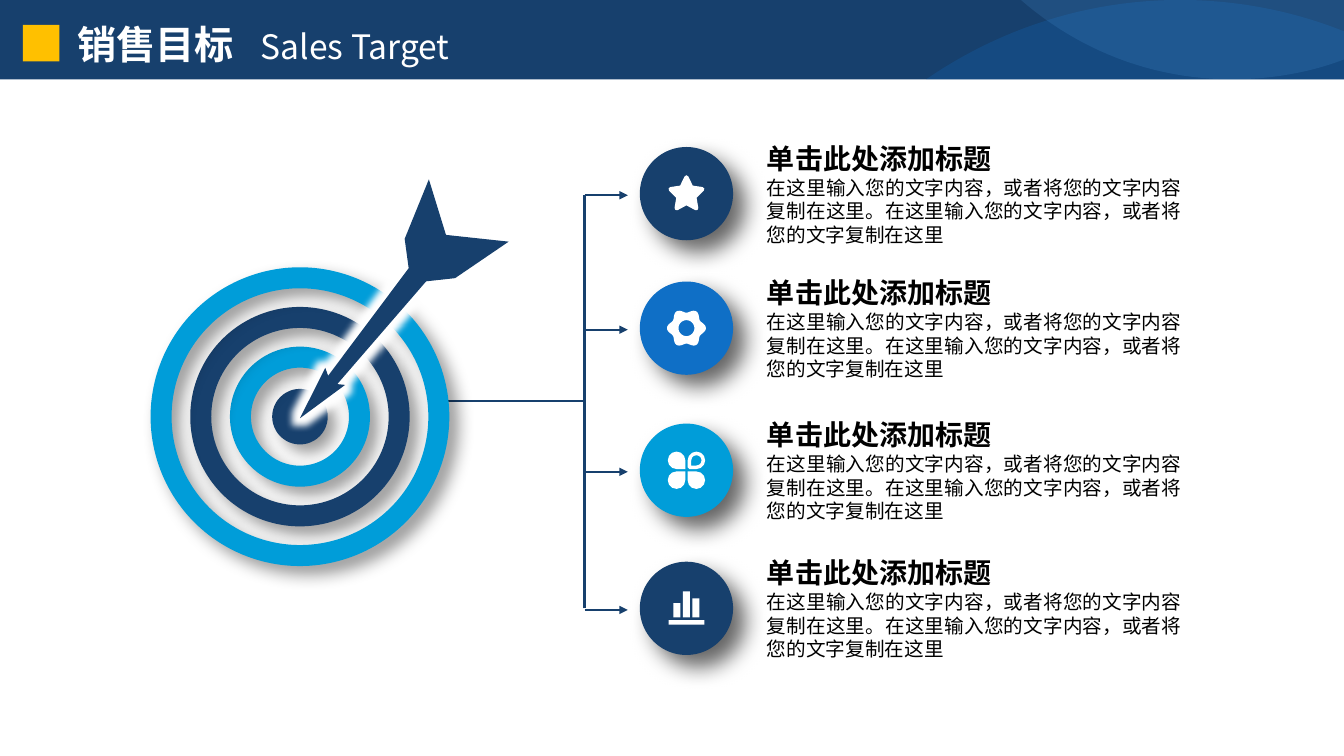
from dataclasses import dataclass
from math import cos, pi, sin

from lxml import etree
from pptx import Presentation
from pptx import util as u
from pptx.dml.color import RGBColor
from pptx.enum import shapes, text
from pptx.oxml.ns import qn

Cm, Pt = u.Cm, u.Pt
PRESET = shapes.MSO_SHAPE


@dataclass(frozen=True)
class Theme:
    navy: str = "17406D"
    blue: str = "0F6FC6"
    cyan: str = "009DD9"
    sky: str = "59AAF2"
    gold: str = "FFC000"
    white: str = "FFFFFF"
    black: str = "000000"
    font: str = "Noto Sans CJK SC"
    title: int = 28
    subtitle: int = 24
    heading: int = 20
    body: int = 14
    leading: float = 1.2


THEME = Theme()
HEADING = "单击此处添加标题"
BODY = "在这里输入您的文字内容，或者将您的文字内容复制在这里。在这里输入您的文字内容，或者将您的文字复制在这里"


# ---- Shared formatting ----
def apply(target, values):
    for name, value in values.items():
        setattr(target, name, value)


def add_xml(parent, tag, **attributes):
    return etree.SubElement(parent, qn(tag), {k: str(v) for k, v in attributes.items()})


def paint(shape, fill=None, line=None, width=0, alpha=None):
    shape.shadow.inherit = False
    if fill:
        shape.fill.solid()
        shape.fill.fore_color.rgb = RGBColor.from_string(fill)
    else:
        shape.fill.background()
    if line:
        shape.line.color.rgb = RGBColor.from_string(line)
        shape.line.width = Pt(width)
    else:
        shape.line.fill.background()
    if alpha:
        color = shape.element.spPr.find(qn("a:solidFill"))[0]
        add_xml(color, "a:alpha", val=alpha * 1000)
    return shape


def add_effect(shape, tag, color, alpha, **attributes):
    effects = shape.element.spPr.find(qn("a:effectLst"))
    tint = add_xml(add_xml(effects, tag, **attributes), "a:srgbClr", val=color)
    add_xml(tint, "a:alpha", val=alpha * 1000)


def cast_shadow(shape, alpha, blur, distance):
    add_effect(shape, "a:outerShdw", THEME.black, alpha, blurRad=Pt(blur),
               dist=Pt(distance), dir=45 * 60000, algn="tl", rotWithShape=0)


def preset(parent, kind, x, y, w, h, **look):
    return paint(parent.add_shape(kind, Cm(x), Cm(y), Cm(w), Cm(h)), **look)


def disc(parent, cx, cy, size, **look):
    return preset(parent, PRESET.OVAL, cx - size / 2, cy - size / 2, size, size, **look)


def outline(parent, *contours, **look):
    first, *others = [[(Cm(x), Cm(y)) for x, y in points] for points in contours]
    builder = parent.build_freeform(*first[0], scale=1.0)
    builder.add_line_segments(first[1:], close=True)
    for points in others:
        builder.move_to(*points[0])
        builder.add_line_segments(points[1:], close=True)
    return paint(builder.convert_to_shape(), **look)


def bezier(a, b, c, d, steps=24):
    ts = [i / steps for i in range(steps + 1)]
    return [tuple((1 - t) ** 3 * p + 3 * (1 - t) ** 2 * t * q + 3 * (1 - t) * t * t * r + t ** 3 * s
                  for p, q, r, s in zip(a, b, c, d)) for t in ts]


def write(paragraph, content, size, color, bold=False):
    run = paragraph.add_run()
    run.text = content
    apply(run.font, {"size": Pt(size), "bold": bold, "name": THEME.font})
    run.font.color.rgb = RGBColor.from_string(color)
    add_xml(run.font._element, "a:ea", typeface=THEME.font)


def text_box(parent, x, y, w, h, content, size, align, bold=False):
    frame = parent.add_textbox(Cm(x), Cm(y), Cm(w), Cm(h)).text_frame
    apply(frame, {"word_wrap": True, "auto_size": text.MSO_AUTO_SIZE.SHAPE_TO_FIT_TEXT})
    paragraph = frame.paragraphs[0]
    apply(paragraph, {"alignment": align, "line_spacing": Pt(size * THEME.leading)})
    write(paragraph, content, size, THEME.black, bold)


def connect(parent, x1, y1, x2, y2, arrow=False):
    link = parent.add_connector(shapes.MSO_CONNECTOR.STRAIGHT, Cm(x1), Cm(y1), Cm(x2), Cm(y2))
    link.line.color.rgb = RGBColor.from_string(THEME.navy)
    link.line.width = Pt(1.5)
    if arrow:
        add_xml(link.line._get_or_add_ln(), "a:tailEnd", type="triangle")
    add_xml(link._element.spPr, "a:effectLst")


# ---- Header band with the title ----
def header(slide, w, h):
    band = slide.shapes.add_group_shape().shapes
    preset(band, PRESET.RECTANGLE, 0, 0, w, h, fill=THEME.navy)
    crest = (w - 4.13, 0)
    hill = bezier((w - 10.53, h), (w - 8.7, 0.74), (w - 6.49, 0), crest)
    hill += bezier(crest, (w - 2.68, 0), (w - 1.28, 0.28), (w, 0.79)) + [(w, h)]
    outline(band, hill, fill=THEME.blue, alpha=23)
    trough = (w - 2.83, h)
    bowl = bezier((w, 1.5), (w - 0.86, 1.83), (w - 1.84, h), trough)
    bowl += bezier(trough, (w - 4.86, h), (w - 6.72, 1.24), (w - 8.14, 0)) + [(w, 0)]
    outline(band, bowl, fill=THEME.sky, alpha=15)
    preset(slide.shapes, PRESET.RECTANGLE, 0.58, 0.63, 0.92, 0.92, fill=THEME.gold)

    title = slide.shapes.title
    apply(title, {"left": Cm(1.7), "top": Cm(0.38), "width": Cm(18.47), "height": Cm(1.45)})
    apply(title.text_frame, {"word_wrap": True, "auto_size": text.MSO_AUTO_SIZE.NONE,
                             "vertical_anchor": text.MSO_ANCHOR.TOP})
    paragraph = title.text_frame.paragraphs[0]
    apply(paragraph, {"alignment": text.PP_ALIGN.LEFT,
                      "line_spacing": Pt(THEME.title * THEME.leading)})
    tabs = add_xml(paragraph._p.get_or_add_pPr(), "a:tabLst")
    add_xml(tabs, "a:tab", pos=Cm(4.62), algn="l")
    write(paragraph, "销售目标\t", THEME.title, THEME.white, bold=True)
    write(paragraph, "Sales Target", THEME.subtitle, THEME.white)
    title.element.getparent().append(title.element)


# ---- Icons, each around its centre ----
def star_icon(parent, cx, cy):
    star = preset(parent, PRESET.STAR_5_POINT, cx - 0.4, cy - 0.41, 0.8, 0.78,
                  fill=THEME.white, line=THEME.white, width=3)
    star.adjustments[0] = 0.25
    add_xml(star.line._get_or_add_ln(), "a:round")


def gear_icon(parent, cx, cy):
    turns = [2 * pi * i / 96 for i in range(96)]
    rim = [(0.44 + 0.05 * cos(6 * t), t) for t in turns]
    hole = [(0.2, t) for t in turns]
    outline(parent, *[[(cx + r * cos(t), cy + r * sin(t)) for r, t in ring] for ring in (rim, hole)],
            fill=THEME.white)


def clover_icon(parent, cx, cy):
    clover = parent.add_group_shape().shapes
    for sx, sy, angle in ((-1, -1, 90), (-1, 1, 0), (1, 1, 270), (1, -1, 180)):
        hollow = angle == 180
        size = 0.35 if hollow else 0.44
        look = {"line": THEME.white, "width": 2.5} if hollow else {"fill": THEME.white}
        petal = preset(clover, PRESET.TEAR, cx + sx * 0.25 - size / 2, cy + sy * 0.25 - size / 2,
                       size, size, **look)
        petal.rotation = angle


def chart_icon(parent, cx, cy):
    chart = parent.add_group_shape().shapes
    preset(chart, PRESET.RECTANGLE, cx - 0.45, cy + 0.3, 0.9, 0.11, fill=THEME.white)
    for column, height in enumerate((0.36, 0.66, 0.48)):
        preset(chart, PRESET.RECTANGLE, cx - 0.33 + 0.24 * column, cy + 0.23 - height,
               0.18, height, fill=THEME.white)


# ---- Branching lines and the four goals ----
def goals(slide, x, trunk_x, trunk_y):
    parts = slide.shapes
    rows = ((4.88, THEME.navy, star_icon), (8.27, THEME.blue, gear_icon),
            (11.85, THEME.cyan, clover_icon), (15.33, THEME.navy, chart_icon))
    connect(parts, trunk_x, trunk_y, x, trunk_y)
    connect(parts, x, rows[-1][0], x, rows[0][0] + 0.04)
    for cy, color, icon in rows:
        connect(parts, x, cy + 0.04, x + 1.09, cy + 0.04, arrow=True)
        cast_shadow(disc(parts, x + 2.57, cy, 2.35, fill=color), 60, 16, 12)
        icon(parts, x + 2.57, cy)
        text_box(parts, x + 4.35, cy - 0.58, 10.95, 2.06, BODY, THEME.body, text.PP_ALIGN.JUSTIFY)
        text_box(parts, x + 4.35, cy - 1.45, 7.57, 1.12, HEADING, THEME.heading,
                 text.PP_ALIGN.LEFT, bold=True)


# ---- Target with its dart ----
def target(slide, cx, cy):
    bull = disc(slide.shapes, cx, cy, 1.4, fill=THEME.navy)
    rings = [disc(slide.shapes, cx, cy, size, line=color, width=15)
             for size, color in ((3, THEME.cyan), (5, THEME.navy), (7, THEME.cyan))]
    for part in (bull, *rings):
        cast_shadow(part, 40, 12, 8)
    dart = ((0, 0), (1.14, -0.84), (0.94, -0.86), (3.18, -3.45), (3.91, -3.53), (5.26, -4.45),
            (3.68, -4.62), (3.25, -6.02), (2.64, -4.52), (2.74, -3.78), (0.71, -1.07), (0.64, -1.27))
    arrow = outline(slide.shapes, [(cx + dx, cy + 0.04 + dy) for dx, dy in dart], fill=THEME.navy)
    add_effect(arrow, "a:glow", THEME.white, 100, rad=Pt(10))


def main():
    deck = Presentation()
    apply(deck, {"slide_width": Cm(33.87), "slide_height": Cm(19.05)})
    slide = deck.slides.add_slide(deck.slide_layouts[5])
    header(slide, 33.87, 2)
    goals(slide, x=14.73, trunk_x=11.18, trunk_y=10.11)
    target(slide, 7.56, 10.5)
    deck.save("out.pptx")


if __name__ == "__main__":
    main()
